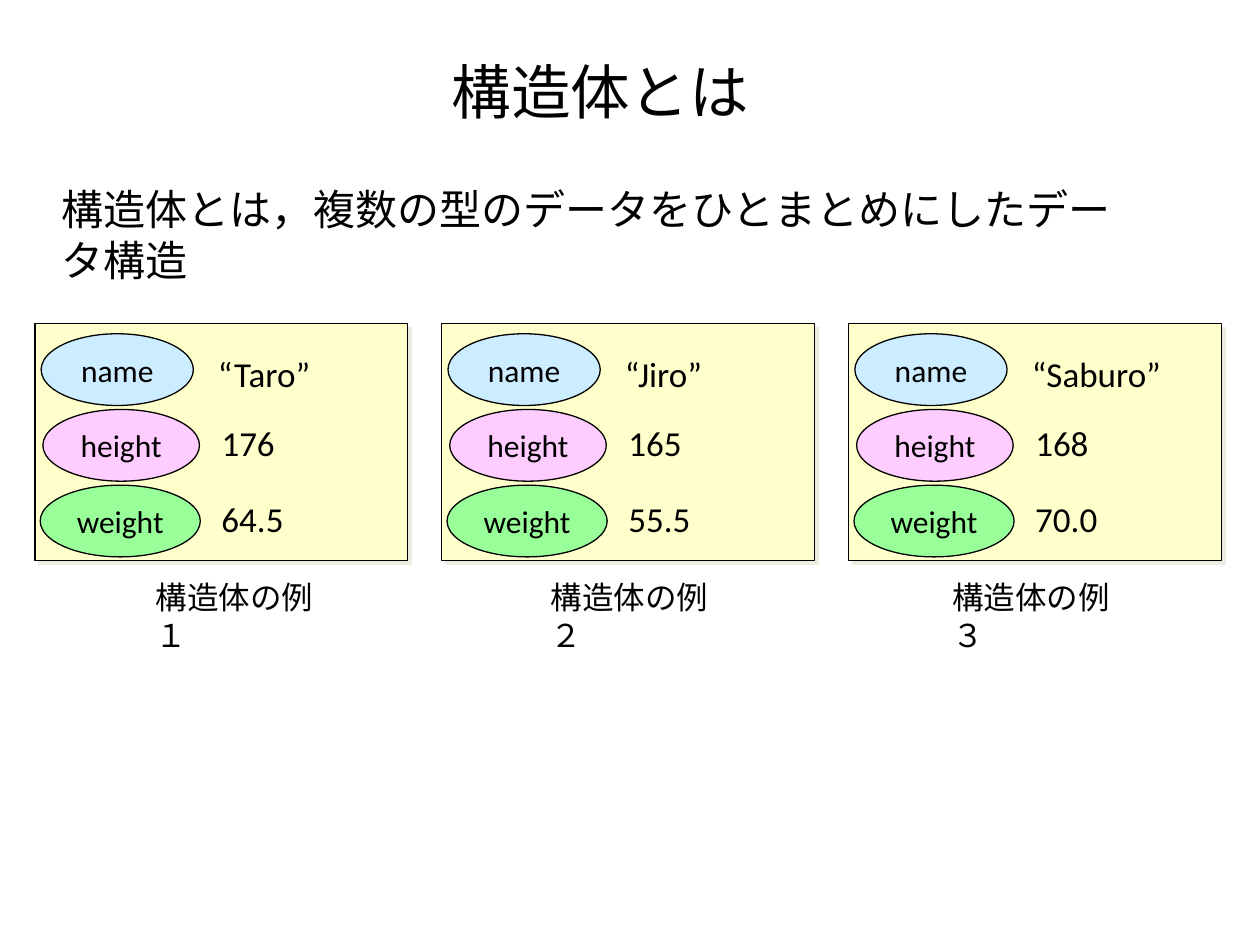
from lxml.etree import SubElement
from pptx import Presentation
from pptx.dml.color import RGBColor
from pptx.enum.shapes import MSO_SHAPE
from pptx.enum.text import MSO_ANCHOR, MSO_AUTO_SIZE, PP_ALIGN
from pptx.oxml.ns import qn
from pptx.util import Pt

FONT = "Calibri"
COLORS = {
    "text": "000000",
    "line": "000000",
    "card": "FFFFCC",
    "shadow": "EEECE1",
    "name": "CCECFF",
    "height": "FFCCFF",
    "weight": "99FF99",
}
FIELDS = [
    ("name", 3.5, 87, 93, 13, 119.5),
    ("height", 4.5, 89.5, 99.5, 52.5, 45.5),
    ("weight", 3, 91.5, 99.5, 96, 96.5),
]
RECORDS = [
    ([" “Taro”", "176", "64.5"], "構造体の例１", 82),
    ([" “Jiro”", "165", "55.5"], "構造体の例２", 307.5),
    ([" “Saburo”", "168", "70.0"], "構造体の例３", 537),
]
CARD_LEFT, CARD_TOP, CARD_W, CARD_H, CARD_PITCH = 20, 185, 213, 135.5, 232.5
OVAL_TOP, OVAL_H, OVAL_PITCH = 5.75, 41, 43.25


def color(key):
    return RGBColor.from_string(COLORS[key])


def write(tf, text, size, align=PP_ALIGN.LEFT):
    tf.word_wrap = True
    p = tf.paragraphs[0]
    p.alignment = align
    r = p.add_run()
    r.text = text
    r.font.name = FONT
    r.font.size = Pt(size)
    r.font.color.rgb = color("text")


def add_text(shapes, text, size, left, top, width, height):
    tf = shapes.add_textbox(Pt(left), Pt(top), Pt(width), Pt(height)).text_frame
    write(tf, text, size)
    tf.auto_size = MSO_AUTO_SIZE.SHAPE_TO_FIT_TEXT


def add_box(shapes, preset, fill, left, top, width, height):
    sp = shapes.add_shape(preset, Pt(left), Pt(top), Pt(width), Pt(height))
    sp.shadow.inherit = False
    sp.fill.solid()
    sp.fill.fore_color.rgb = color(fill)
    sp.line.color.rgb = color("line")
    sp.line.width = Pt(0.75)
    return sp


def add_shadow(sp):
    effects = sp._element.spPr.find(qn("a:effectLst"))
    shadow = SubElement(effects, qn("a:outerShdw"), dist=str(Pt(2.8)),
                        dir=str(45 * 60000), algn="ctr", rotWithShape="0")
    SubElement(shadow, qn("a:srgbClr"), val=COLORS["shadow"])


def add_title(s, text, left, top, width, height):
    title = s.shapes.title
    title.left, title.top = Pt(left), Pt(top)
    title.width, title.height = Pt(width), Pt(height)
    title.text_frame.vertical_anchor = MSO_ANCHOR.MIDDLE
    write(title.text_frame, text, 34, PP_ALIGN.CENTER)


def add_card(s, values, left, top, width, height):
    shapes = s.shapes.add_group_shape().shapes
    add_shadow(add_box(shapes, MSO_SHAPE.RECTANGLE, "card", left, top, width, height))
    for i, (field, dx, oval_w, _, _, _) in enumerate(FIELDS):
        oval = add_box(shapes, MSO_SHAPE.OVAL, field, left + dx,
                       top + OVAL_TOP + i * OVAL_PITCH, oval_w, OVAL_H)
        oval.text_frame.vertical_anchor = MSO_ANCHOR.MIDDLE
        write(oval.text_frame, field, 18, PP_ALIGN.CENTER)
        oval.text_frame.auto_size = MSO_AUTO_SIZE.SHAPE_TO_FIT_TEXT
    for value, (_, _, _, dx, dy, value_w) in zip(values, FIELDS):
        add_text(shapes, value, 20, left + dx, top + dy, value_w, 31.5)


def main():
    prs = Presentation()
    prs.slide_width, prs.slide_height = Pt(720), Pt(540)
    s = prs.slides.add_slide(prs.slide_layouts[5])
    add_title(s, "構造体とは", 43, 25, 600, 54)
    add_text(s.shapes, "構造体とは，複数の型のデータをひとまとめにしたデータ構造",
             24, 28, 101.5, 636.5, 36.5)
    for i, (values, caption, caption_left) in enumerate(RECORDS):
        add_card(s, values, CARD_LEFT + i * CARD_PITCH, CARD_TOP, CARD_W, CARD_H)
        add_text(s.shapes, caption, 18, caption_left, 327, 118, 29)
    prs.save("out.pptx")


if __name__ == "__main__":
    main()
